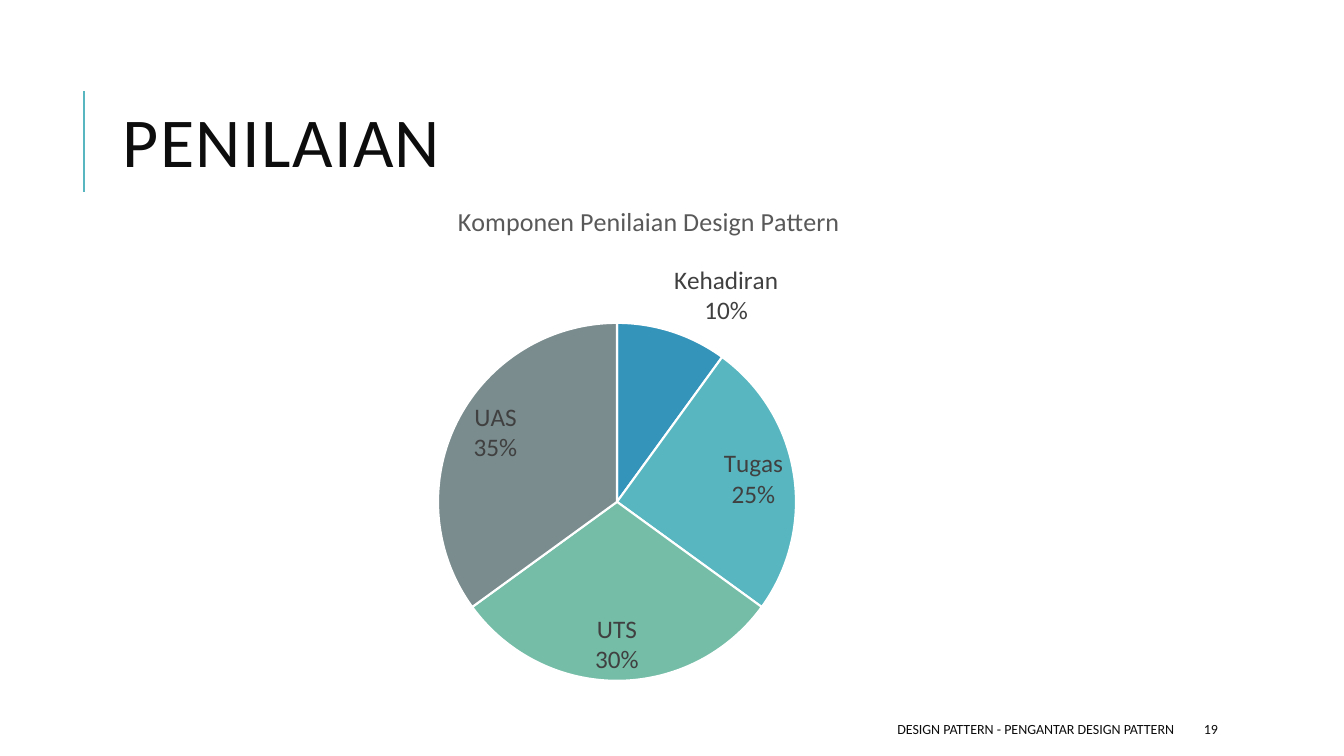
"""Build the grading slide: heading, accent line, pie chart and footer."""
import pptx
import pptx.chart.data
import pptx.dml.color
import pptx.enum.chart
import pptx.enum.shapes
import pptx.enum.text
import pptx.oxml.ns
import pptx.oxml.xmlchemy
import pptx.util

RGB = pptx.dml.color.RGBColor
INK = RGB(0x0D, 0x0D, 0x0D)
TITLE_GREY = RGB(0x59, 0x59, 0x59)
LABEL_GREY = RGB(0x40, 0x40, 0x40)
WHITE = RGB(0xFF, 0xFF, 0xFF)
BLUE = RGB(0x34, 0x94, 0xBA)
TEAL = RGB(0x58, 0xB6, 0xC0)
GREEN = RGB(0x75, 0xBD, 0xA7)
SLATE = RGB(0x7A, 0x8C, 0x8E)
FONT = "Calibri"
ALIGN = pptx.enum.text.PP_ALIGN

CHART_TITLE = "Komponen Penilaian Design Pattern"
COMPONENTS = [
    ("Kehadiran", 10, BLUE),
    ("Tugas", 25, TEAL),
    ("UTS", 30, GREEN),
    ("UAS", 35, SLATE),
]
TEXTS = [
    ("PENILAIAN", (113, 65, 1072, 165), 50, ALIGN.LEFT, {"line_spacing": 0.8}, "100"),
    ("DESIGN PATTERN - PENGANTAR DESIGN PATTERN", (534, 714, 650, 30), 10, ALIGN.RIGHT, {}, "0"),
    ("19", (1194, 714, 107, 30), 10, ALIGN.LEFT, {}, "0"),
]
SLIDE_SIZE = (1344, 756)
ACCENT = (84, 192, 84, 91)
CHART_BOX = (113, 183, 1072, 512)
PIE_BOX = (438, 323, 358, 358)
PX = 914400 / 100.8


def emu(lengths):
    return [round(length * PX) for length in lengths]


def apply(target, values):
    for name, value in values.items():
        setattr(target, name, value)


def style_font(font, size, color):
    apply(font, {"name": FONT, "size": pptx.util.Pt(size), "bold": False})
    font.color.rgb = color


def add_text(slide, text, box, size, align, paragraph_format, spacing):
    frame = slide.shapes.add_textbox(*emu(box)).text_frame
    apply(frame, {"word_wrap": True, "vertical_anchor": pptx.enum.text.MSO_ANCHOR.MIDDLE})
    paragraph = frame.paragraphs[0]
    apply(paragraph, {"alignment": align, **paragraph_format})
    run = paragraph.add_run()
    run.text = text
    style_font(run.font, size, INK)
    run.font._element.set("spc", spacing)


def new_element(tag):
    return pptx.oxml.xmlchemy.OxmlElement(tag)


def add_accent(slide):
    accent = slide.shapes.add_connector(pptx.enum.shapes.MSO_CONNECTOR.STRAIGHT, *emu(ACCENT))
    accent.line.color.rgb = TEAL
    accent.line.width = pptx.util.Pt(1.5)
    accent._element.spPr.append(new_element("a:effectLst"))


def place_pie(chart):
    left, top, width, height = CHART_BOX
    x, y, w, h = PIE_BOX
    settings = {
        "layoutTarget": "inner", "xMode": "edge", "yMode": "edge",
        "x": (x - left) / width, "y": (y - top) / height, "w": w / width, "h": h / height,
    }
    plot_area = chart._chartSpace.chart.plotArea
    for old in plot_area.findall(pptx.oxml.ns.qn("c:layout")):
        plot_area.remove(old)
    layout = new_element("c:layout")
    manual = new_element("c:manualLayout")
    for name, value in settings.items():
        setting = new_element(f"c:{name}")
        setting.set("val", value if isinstance(value, str) else f"{value:.4f}")
        manual.append(setting)
    layout.append(manual)
    plot_area.insert(0, layout)


def add_pie(slide):
    grades = pptx.chart.data.CategoryChartData()
    grades.categories = [name for name, _, _ in COMPONENTS]
    grades.add_series(CHART_TITLE, [share for _, share, _ in COMPONENTS])
    chart = slide.shapes.add_chart(
        pptx.enum.chart.XL_CHART_TYPE.PIE, *emu(CHART_BOX), grades).chart
    apply(chart, {"has_legend": False, "has_title": True})
    style_font(chart.font, 10, RGB(0, 0, 0))
    heading = chart.chart_title.text_frame.paragraphs[0].add_run()
    heading.text = CHART_TITLE
    style_font(heading.font, 18.6, TITLE_GREY)
    place_pie(chart)

    plot = chart.plots[0]
    plot.vary_by_categories = True
    series = plot.series[0]
    for index, (_, _, color) in enumerate(COMPONENTS):
        piece = series.points[index].format
        piece.fill.solid()
        piece.fill.fore_color.rgb = color
        piece.line.color.rgb = WHITE
        piece.line.width = pptx.util.Pt(1.5)

    labels = series.data_labels
    apply(labels, {
        "show_value": False, "show_category_name": True, "show_percentage": True,
        "number_format": "0%", "number_format_is_linked": False,
        "position": pptx.enum.chart.XL_LABEL_POSITION.BEST_FIT,
    })
    style_font(labels.font, 18, LABEL_GREY)
    separator = new_element("c:separator")
    separator.text = "\n"
    flags = labels._element
    last_flag = flags.find(pptx.oxml.ns.qn("c:showBubbleSize"))
    if last_flag is None:
        last_flag = flags.find(pptx.oxml.ns.qn("c:showPercent"))
    last_flag.addnext(separator)


def main():
    deck = pptx.Presentation()
    deck.slide_width, deck.slide_height = emu(SLIDE_SIZE)
    slide = deck.slides.add_slide(deck.slide_layouts[6])
    add_accent(slide)
    for text in TEXTS:
        add_text(slide, *text)
    add_pie(slide)
    deck.save("out.pptx")


if __name__ == "__main__":
    main()
